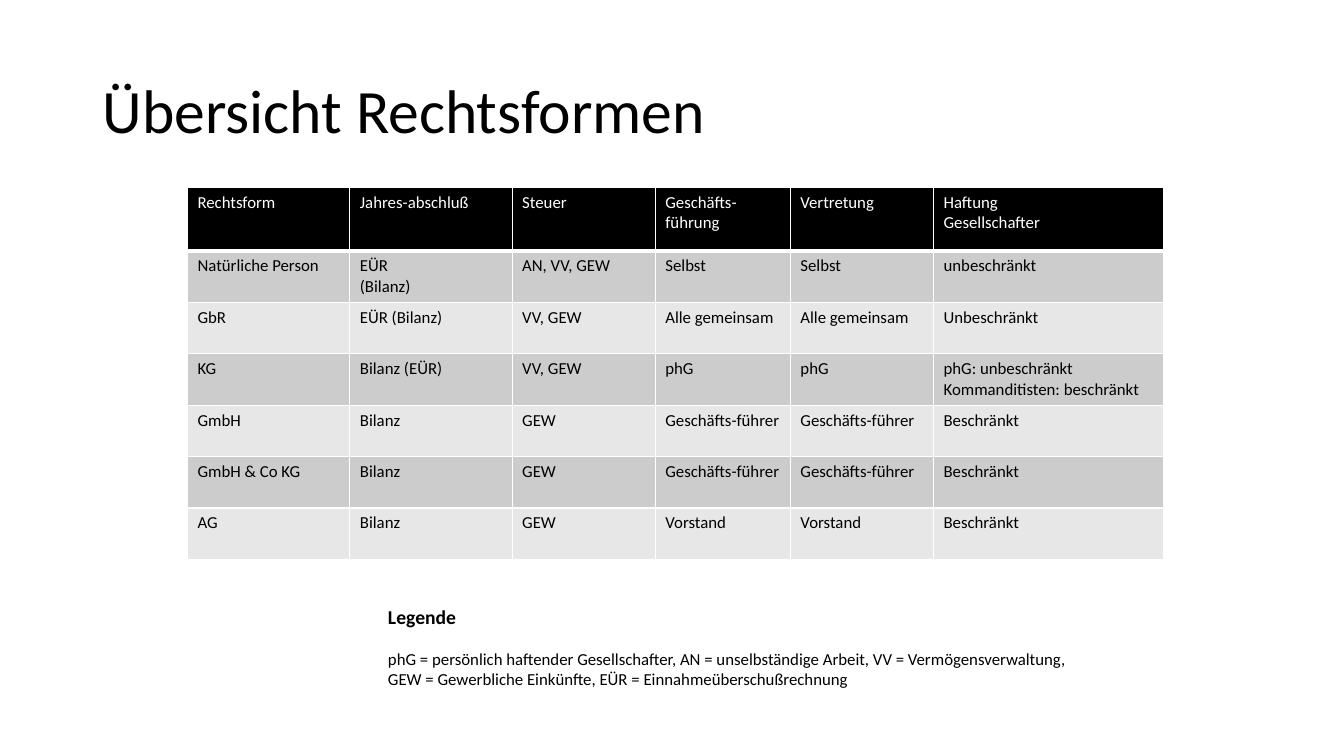
import pptx
import pptx.dml.color
import pptx.enum.text
import pptx.oxml
import pptx.oxml.ns
import pptx.util

Inches = pptx.util.Inches
Pt = pptx.util.Pt
RGBColor = pptx.dml.color.RGBColor
Anchor = pptx.enum.text.MSO_ANCHOR

BLACK = RGBColor(0x00, 0x00, 0x00)
WHITE = RGBColor(0xFF, 0xFF, 0xFF)
DARK_BAND = RGBColor(0xCC, 0xCC, 0xCC)
LIGHT_BAND = RGBColor(0xE7, 0xE7, 0xE7)

COLUMN_WIDTHS = [1.61, 1.61, 1.42, 1.34, 1.42, 2.28]
HEADER_HEIGHT, ROW_HEIGHT = 0.63, 0.51
LEGAL_FORMS = [
    ["Rechtsform", "Jahres-abschluß", "Steuer", "Geschäfts-führung", "Vertretung",
     "Haftung\nGesellschafter"],
    ["Natürliche Person", "EÜR\n(Bilanz)", "AN, VV, GEW", "Selbst", "Selbst", "unbeschränkt"],
    ["GbR", "EÜR (Bilanz)", "VV, GEW", "Alle gemeinsam", "Alle gemeinsam", "Unbeschränkt"],
    ["KG", "Bilanz (EÜR)", "VV, GEW", "phG", "phG",
     "phG: unbeschränkt\nKommanditisten: beschränkt"],
    ["GmbH", "Bilanz", "GEW", "Geschäfts-führer", "Geschäfts-führer", "Beschränkt"],
    ["GmbH & Co KG", "Bilanz", "GEW", "Geschäfts-führer", "Geschäfts-führer", "Beschränkt"],
    ["AG", "Bilanz", "GEW", "Vorstand", "Vorstand", "Beschränkt"],
]
LEGEND = (
    "phG = persönlich haftender Gesellschafter, AN = unselbständige Arbeit, "
    "VV = Vermögensverwaltung, GEW = Gewerbliche Einkünfte, "
    "EÜR = Einnahmeüberschußrechnung"
)


class Page:
    """Holds the text style and the slide that elements are added to."""

    font = "Calibri"

    def __init__(self, deck):
        self.slide = deck.slides.add_slide(deck.slide_layouts[6])

    def add_span(self, para, text, size, color=BLACK, bold=False):
        """Add one styled run to a paragraph."""
        span = para.add_run()
        span.text = text
        span.font.name = self.font
        span.font.size = Pt(size)
        span.font.bold = bold
        span.font.color.rgb = color

    def add_text(self, left, top, width, height, anchor=Anchor.TOP):
        """Add an empty wrapping text box and return its text frame."""
        box = self.slide.shapes.add_textbox(
            Inches(left), Inches(top), Inches(width), Inches(height))
        box.text_frame.word_wrap = True
        box.text_frame.vertical_anchor = anchor
        return box.text_frame

    def add_border(self, cell, side, points):
        """Draw a white line on one side of a table cell."""
        line = pptx.oxml.parse_xml(
            f'<a:ln{side} {pptx.oxml.ns.nsdecls("a")} w="{Pt(points)}">'
            f'<a:solidFill><a:srgbClr val="{WHITE}"/></a:solidFill></a:ln{side}>')
        cell._tc.get_or_add_tcPr().append(line)

    def fill_cell(self, cell, text, fill, color, bottom):
        """Fill, frame and label one table cell."""
        for side, points in zip("LRTB", (1, 1, 1, bottom)):
            self.add_border(cell, side, points)
        cell.fill.solid()
        cell.fill.fore_color.rgb = fill
        frame = cell.text_frame
        for index, line in enumerate(text.split("\n")):
            para = frame.add_paragraph() if index else frame.paragraphs[0]
            self.add_span(para, line, 12, color)

    def add_table(self, left, top, rows):
        """Add the table with a black header and alternating bands."""
        heights = [HEADER_HEIGHT] + [ROW_HEIGHT] * (len(rows) - 1)
        table = self.slide.shapes.add_table(
            len(rows), len(COLUMN_WIDTHS), Inches(left), Inches(top),
            Inches(sum(COLUMN_WIDTHS)), Inches(sum(heights))).table
        for column, width in zip(table.columns, COLUMN_WIDTHS):
            column.width = Inches(width)
        for index, (row, height) in enumerate(zip(rows, heights)):
            table.rows[index].height = Inches(height)
            if index == 0:
                style = (BLACK, WHITE, 3)
            else:
                style = (DARK_BAND if index % 2 else LIGHT_BAND, BLACK, 1)
            for position, text in enumerate(row):
                self.fill_cell(table.cell(index, position), text, *style)


deck = pptx.Presentation()
deck.slide_width = Inches(13.33)
deck.slide_height = Inches(7.5)
page = Page(deck)

title = page.add_text(0.92, 0.4, 11.5, 1.45, Anchor.MIDDLE).paragraphs[0]
title.line_spacing = 0.9
page.add_span(title, "Übersicht Rechtsformen", 44)

page.add_table(1.86, 1.86, LEGAL_FORMS)

legend = page.add_text(3.75, 5.95, 6.93, 0.94)
page.add_span(legend.paragraphs[0], "Legende", 14, bold=True)
explanation = legend.add_paragraph()
explanation.space_before = Pt(14.6)
page.add_span(explanation, LEGEND, 12)

deck.save("out.pptx")
